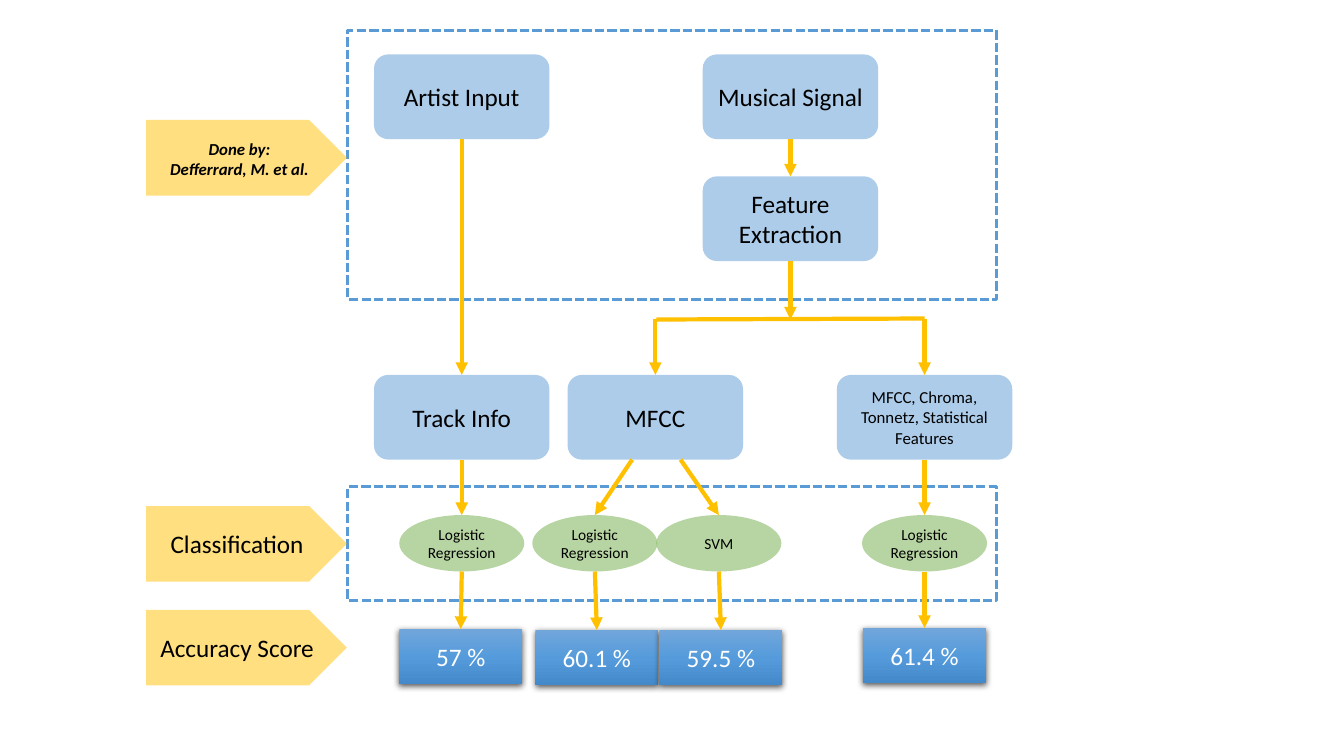
from copy import deepcopy
from dataclasses import dataclass

from lxml.etree import SubElement
from pptx import Presentation
from pptx.dml.color import RGBColor
from pptx.enum.dml import MSO_LINE
from pptx.enum.shapes import MSO_CONNECTOR, MSO_SHAPE
from pptx.enum.text import MSO_ANCHOR, PP_ALIGN
from pptx.oxml.ns import qn
from pptx.util import Inches, Pt


@dataclass(frozen=True)
class Theme:
    font: str = "Calibri"
    blue: str = "5B9BD5"
    gold: str = "FFC000"
    green: str = "70AD47"
    black: str = "000000"
    white: str = "FFFFFF"
    gradient: tuple = ("71A6DB", "559BDB", "448ACA")
    large: int = 18
    medium: int = 12
    small: int = 11


theme = Theme()
deck = Presentation()
deck.slide_width, deck.slide_height = Inches(13.33), Inches(7.5)
page = deck.slides.add_slide(deck.slide_layouts[6])


def add_box(kind, left, top, width, height, fill=None, text="", size=theme.large, color=theme.black):
    box = page.shapes.add_shape(kind, Inches(left), Inches(top), Inches(width), Inches(height))
    box.shadow.inherit = False
    if fill:
        box.fill.solid()
        box.fill.fore_color.rgb = RGBColor.from_string(fill)
        tint = box.fill._xPr.find(".//" + qn("a:srgbClr"))
        SubElement(tint, qn("a:alpha"), val="50000")
        box.line.fill.background()
    else:
        box.fill.background()
    if text:
        box.text_frame.text = text
        box.text_frame.vertical_anchor = MSO_ANCHOR.MIDDLE
        para = box.text_frame.paragraphs[0]
        para.alignment = PP_ALIGN.CENTER
        para.font.name = theme.font
        para.font.size = Pt(size)
        para.font.color.rgb = RGBColor.from_string(color)
    return box


def add_arrow(start, end, source=None, target=None, head=True):
    arrow = page.shapes.add_connector(MSO_CONNECTOR.STRAIGHT, *map(Inches, start + end))
    if source:
        arrow.begin_connect(source, 2)
    if target:
        arrow.end_connect(target, 0)
    arrow.line.color.rgb = RGBColor.from_string(theme.gold)
    arrow.line.width = Pt(3)
    if head:
        SubElement(arrow.line._ln, qn("a:tailEnd"), type="triangle")
    SubElement(arrow._element.spPr, qn("a:effectLst"))


for top, height in ((0.3, 2.67), (4.83, 1.13)):
    frame = add_box(MSO_SHAPE.RECTANGLE, 3.45, top, 6.43, height)
    frame.line.color.rgb = RGBColor.from_string(theme.blue)
    frame.line.width = Pt(2.25)
    frame.line.dash_style = MSO_LINE.SQUARE_DOT

for top, text in ((1.19, ""), (5.02, "Classification"), (6.05, "Accuracy Score")):
    add_box(MSO_SHAPE.PENTAGON, 1.45, top, 1.99, 0.75, theme.gold, text)

credit = page.shapes.add_textbox(Inches(1.53), Inches(1.33), Inches(1.69), Inches(0.5))
credit.text_frame.word_wrap = True
credit.text_frame.text = "Done by:\nDefferrard, M. et al."
for para in credit.text_frame.paragraphs:
    para.alignment = PP_ALIGN.CENTER
    para.font.name = theme.font
    para.font.size = Pt(theme.medium)
    para.font.bold = para.font.italic = True
    para.font.color.rgb = RGBColor.from_string(theme.black)

steps = {}
for name, left, top, text, size in (
    ("artist", 3.71, 0.54, "Artist Input", theme.large),
    ("signal", 6.97, 0.54, "Musical Signal", theme.large),
    ("extraction", 6.97, 1.75, "Feature Extraction", theme.large),
    ("track", 3.71, 3.72, "Track Info", theme.large),
    ("mfcc", 5.63, 3.72, "MFCC", theme.large),
    ("combined", 8.3, 3.72, "MFCC, Chroma, Tonnetz, Statistical Features", theme.medium),
):
    steps[name] = add_box(MSO_SHAPE.ROUNDED_RECTANGLE, left, top, 1.74, 0.84, theme.blue, text, size)

add_arrow((4.58, 1.38), (4.58, 3.72), steps["artist"], steps["track"])
add_arrow((7.84, 1.38), (7.84, 1.75), steps["signal"], steps["extraction"])
add_arrow((7.84, 2.59), (7.84, 3.17), steps["extraction"])
add_arrow((6.51, 3.17), (9.17, 3.16), head=False)
add_arrow((6.5, 3.16), (6.5, 3.72), target=steps["mfcc"])
add_arrow((9.17, 3.16), (9.17, 3.72), target=steps["combined"])

for center, model, score, score_left, score_top, source, start in (
    (4.58, "Logistic Regression", "57 %", 3.96, 6.24, steps["track"], 4.58),
    (5.9, "Logistic Regression", "60.1 %", 5.31, 6.25, None, 6.27),
    (7.13, "SVM", "59.5 %", 6.54, 6.25, None, 6.75),
    (9.17, "Logistic Regression", "61.4 %", 8.56, 6.23, steps["combined"], 9.17),
):
    classifier = add_box(MSO_SHAPE.OVAL, center - 0.62, 5.11, 1.24, 0.56, theme.green, model, theme.small)
    result = add_box(MSO_SHAPE.RECTANGLE, score_left, score_top, 1.22, 0.55, text=score, color=theme.white)
    result.line.fill.background()
    result.fill.gradient()
    result.fill.gradient_angle = 270
    stop_list = result._element.spPr.find(".//" + qn("a:gsLst"))
    stop_list.insert(1, deepcopy(stop_list[0]))
    for stop, position, color in zip(result.fill.gradient_stops, (0, 0.5, 1), theme.gradient):
        stop.position = position
        stop.color.rgb = RGBColor.from_string(color)
    effects = result._element.spPr.find(qn("a:effectLst"))
    shadow = SubElement(effects, qn("a:outerShdw"), blurRad="57150", dist="19050", dir="5400000", algn="ctr", rotWithShape="0")
    shade = SubElement(shadow, qn("a:srgbClr"), val=theme.black)
    SubElement(shade, qn("a:alpha"), val="63000")
    add_arrow((start, 4.56), (center, 5.11), source, classifier)
    add_arrow((center, 5.67), (center, score_top), target=result)

deck.save("out.pptx")
